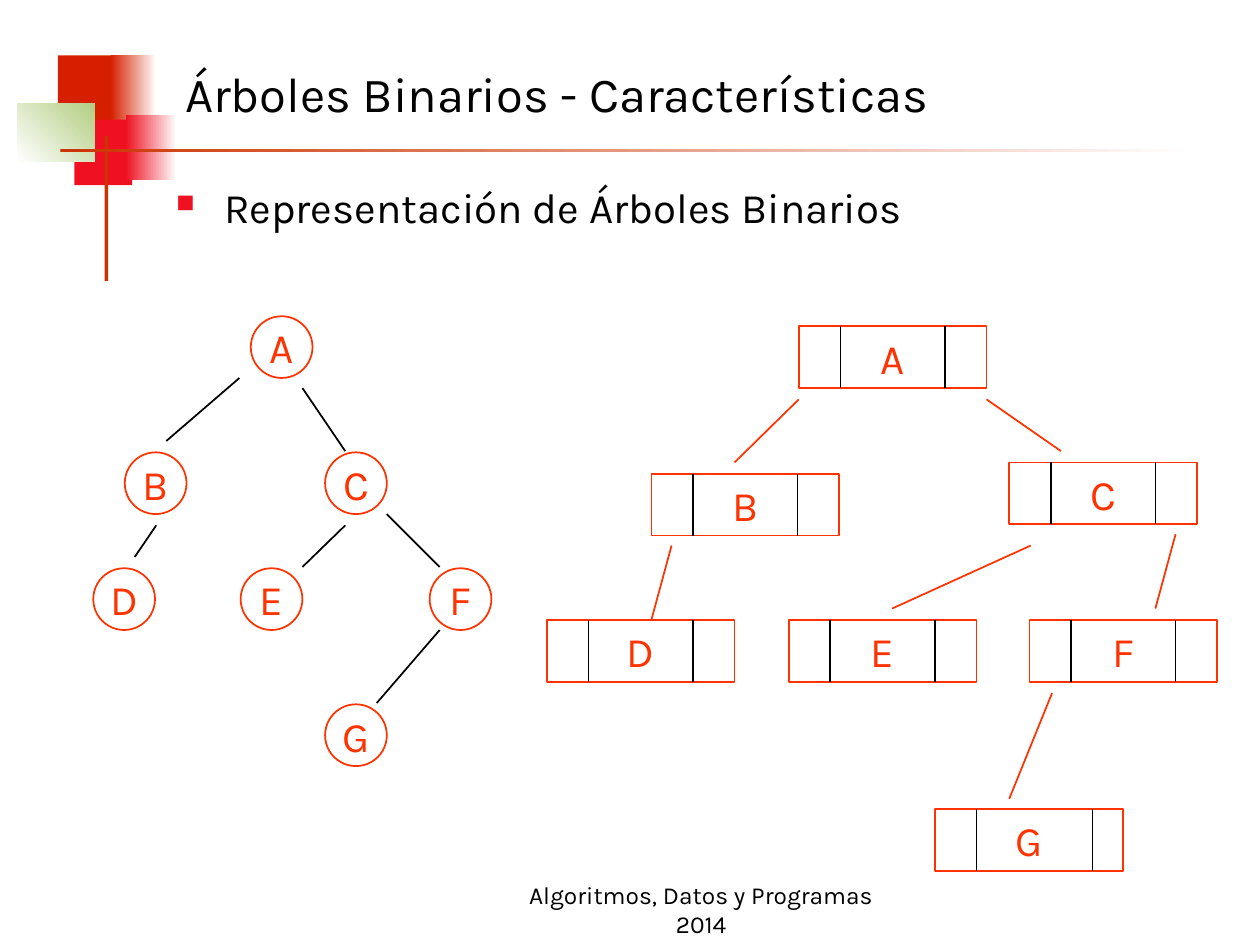
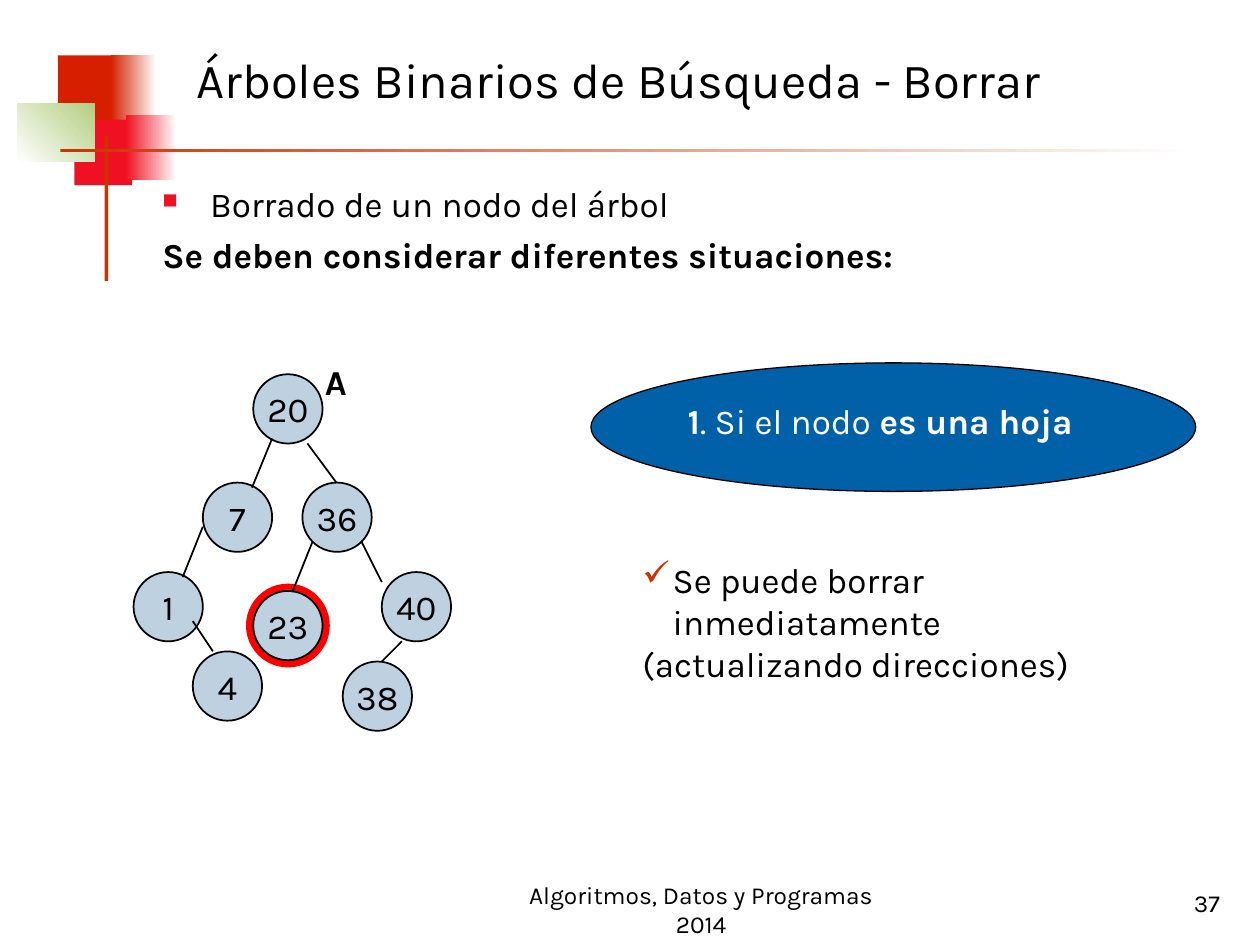
import pptx
import pptx.util
import pptx.dml.color
import pptx.enum.shapes
import pptx.enum.text
import pptx.oxml.ns
from lxml import etree

# ---- Shared content: all lengths are cells of a 100 x 75 grid ----
COLUMNS, ROWS = 100, 75
CELL = pptx.util.Inches(0.1)
FONT = "Karla"
BLACK, WHITE, RED, RUST = "000000", "FFFFFF", "EF1121", "CC3300"
ORANGE, PALE_BLUE, DEEP_BLUE, ALERT = "FF3300", "BED1E0", "0060A8", "FF0000"

# (left, top, width, height), colours, gradient angle
DECORATION = [
    ((4.6, 4.4, 4.8, 5.2), ["D61F00"], 0),
    ((8.8, 4.4, 3.6, 5.2), ["D61F00", WHITE], 0),
    ((5.9, 9.5, 4.6, 5.2), [RED], 0),
    ((10, 9.1, 4, 5.2), [RED, WHITE], 0),
    ((1.4, 8.2, 6.1, 4.6), [WHITE, "B3CE82"], 45),
    ((8.3, 10.8, 0.3, 11.5), [RUST], 0),
    ((4.8, 11.8, 90, 0.3), [RUST, WHITE], 0),
]
FOOTER = "Algoritmos, Datos y Programas 2014"
FOOTER_BOX = (39.8, 70, 31.7, 5)
SQUARE = ("■", RED, 60)
CHECK = ("✓", RUST, 100)

# ---- Slide 1: a tree and its linked representation ----
CIRCLE = 4.9
CIRCLES = {"A": (19.9, 25.1), "B": (9.9, 35.9), "C": (25.8, 35.9),
           "D": (7.4, 45.1), "E": (19.1, 45.1), "F": (34.1, 45.1),
           "G": (25.8, 55.9)}
CIRCLE_EDGES = [(19, 30, 13.2, 35), (24, 30.8, 27.4, 35.8),
                (12.4, 41.7, 10.7, 44.2), (27.4, 41.7, 24, 45),
                (30.7, 40.8, 34.9, 45), (34.9, 50, 29.9, 55.8)]
RECORD_WIDTH, RECORD_HEIGHT = 14.9, 4.9
LEFT_LINK, RIGHT_LINK = 3.3, 11.6
# left, top, offset of the right divider
RECORDS = {"A": (63.4, 25.9, RIGHT_LINK), "B": (51.7, 37.6, RIGHT_LINK),
           "C": (80.1, 36.7, RIGHT_LINK), "D": (43.4, 49.2, RIGHT_LINK),
           "E": (62.6, 49.2, RIGHT_LINK), "F": (81.7, 49.2, RIGHT_LINK),
           "G": (74.2, 64.2, 12.5)}
RECORD_EDGES = [(63.4, 31.7, 58.3, 36.7), (78.3, 31.7, 84.2, 35.8),
                (53.3, 43.3, 51.7, 49.2), (81.8, 43.3, 70.8, 48.3),
                (93.3, 42.4, 91.7, 48.3), (83.5, 55, 80.1, 63.4)]

# ---- Slide 2: deleting a leaf from a search tree ----
NODE, RING = 5.5, 6.1
SEARCH_NODES = {"20": (20.1, 29.7), "7": (16.1, 38.3), "36": (24, 38.3),
                "1": (10.6, 45.4), "4": (15.3, 51.7), "23": (20.1, 46.9),
                "40": (30.3, 45.4), "38": (27.2, 52.5)}
LEAF_TO_DELETE = "23"
SEARCH_EDGES = [(21.6, 34.8, 20, 38.7), (24.4, 35.2, 26.7, 38.3),
                (16.1, 41.8, 14.5, 45.8), (15.3, 49.3, 16.9, 51.7),
                (24.8, 43, 23.2, 47), (28.7, 43, 30.3, 46.2),
                (31.9, 50.9, 30.3, 52.5)]
OVAL_BOX = (46.9, 28.8, 48, 10.2)


# ---- Helpers ----
def cells(*values):
    return [round(value * CELL) for value in values]


def color(hex_text):
    return pptx.dml.color.RGBColor.from_string(hex_text)


def add_bullet(properties, symbol, hex_text, percent):
    def child(parent, tag, **attributes):
        return etree.SubElement(parent, pptx.oxml.ns.qn(tag), **attributes)

    child(child(properties, "a:buClr"), "a:srgbClr", val=hex_text)
    child(properties, "a:buSzPct", val=str(percent * 1000))
    child(properties, "a:buChar", char=symbol)


def write(shape, paragraphs, size=20, ink=BLACK, align="LEFT", anchor="TOP",
          before=0, wrap=True):
    """Each paragraph is a dict: runs [(text, bold)], margin, indent, bullet."""
    frame = shape.text_frame
    frame.word_wrap = wrap
    frame.vertical_anchor = getattr(pptx.enum.text.MSO_ANCHOR, anchor)
    for index, content in enumerate(paragraphs):
        paragraph = frame.add_paragraph() if index else frame.paragraphs[0]
        paragraph.alignment = getattr(pptx.enum.text.PP_ALIGN, align)
        paragraph.space_before = pptx.util.Pt(before)
        properties = paragraph._p.get_or_add_pPr()
        margin, indent = cells(content.get("margin", 0), content.get("indent", 0))
        properties.set("marL", str(margin))
        properties.set("indent", str(indent))
        if "bullet" in content:
            add_bullet(properties, *content["bullet"])
        for text, bold in content["runs"]:
            run = paragraph.add_run()
            run.text = text
            run.font.name, run.font.size = FONT, pptx.util.Pt(size)
            run.font.bold, run.font.color.rgb = bold, color(ink)


def line_of(text, bold=False, **layout):
    return dict(runs=[(text, bold)], **layout)


def add_text(slide, box, paragraphs, **text_format):
    write(slide.shapes.add_textbox(*cells(*box)), paragraphs, **text_format)


def add_box(slide, kind, box, fills, angle=0, line=None, line_width=1):
    preset = getattr(pptx.enum.shapes.MSO_SHAPE, kind)
    shape = slide.shapes.add_shape(preset, *cells(*box))
    shape.shadow.inherit = False
    if len(fills) > 1:
        shape.fill.gradient()
        shape.fill.gradient_angle = angle
        for stop, hex_text in zip(shape.fill.gradient_stops, fills):
            stop.color.rgb = color(hex_text)
    else:
        shape.fill.solid()
        shape.fill.fore_color.rgb = color(fills[0])
    if line:
        shape.line.color.rgb = color(line)
        shape.line.width = pptx.util.Pt(line_width)
    else:
        shape.line.fill.background()
    return shape


def add_node(slide, kind, box, label, fill, line, ink, size):
    shape = add_box(slide, kind, box, [fill], line=line)
    write(shape, [line_of(label)], size=size, ink=ink, align="CENTER",
          anchor="MIDDLE", wrap=False)


def add_edges(slide, edges, ink=BLACK):
    for edge in edges:
        connector = slide.shapes.add_connector(
            pptx.enum.shapes.MSO_CONNECTOR.STRAIGHT, *cells(*edge))
        connector.line.color.rgb = color(ink)
        connector.line.width = pptx.util.Pt(1)
        etree.SubElement(connector._element.spPr, pptx.oxml.ns.qn("a:effectLst"))


def add_base_slide(presentation, title, title_box):
    slide = presentation.slides.add_slide(presentation.slide_layouts[6])
    for box, fills, angle in DECORATION:
        add_box(slide, "RECTANGLE", box, fills, angle)
    add_text(slide, FOOTER_BOX, [line_of(FOOTER)], size=14, align="CENTER",
             anchor="BOTTOM")
    add_text(slide, title_box, [line_of(title)], size=28, anchor="MIDDLE")
    return slide


# ---- Slides ----
def build_representation(presentation):
    slide = add_base_slide(presentation, "Árboles Binarios - Características",
                           (13.7, 2.8, 70.1, 9.2))
    add_text(slide, (13, 13.9, 77.4, 7.1),
             [line_of("Representación de Árboles Binarios", margin=3.8,
                      indent=-3.8, bullet=SQUARE)], size=24, before=6)

    for label, corner in CIRCLES.items():
        add_node(slide, "OVAL", (*corner, CIRCLE, CIRCLE), label,
                 WHITE, ORANGE, ORANGE, 24)
    add_edges(slide, CIRCLE_EDGES)

    for label, (left, top, right_link) in RECORDS.items():
        add_node(slide, "RECTANGLE", (left, top, RECORD_WIDTH, RECORD_HEIGHT),
                 label, WHITE, ORANGE, ORANGE, 24)
        add_edges(slide, [(left + offset, top, left + offset, top + RECORD_HEIGHT)
                          for offset in (LEFT_LINK, right_link)])
    add_edges(slide, RECORD_EDGES, ORANGE)


def build_deletion(presentation):
    slide = add_base_slide(presentation, "Árboles Binarios de Búsqueda - Borrar",
                           (14.6, 1.3, 81.1, 10))
    hanging = dict(margin=3.8, indent=-3.8)
    add_text(slide, (11.9, 14, 80.6, 11.7),
             [line_of("Borrado de un nodo del árbol", bullet=SQUARE, **hanging),
              line_of("Se deben considerar diferentes situaciones:", True,
                      **hanging)], before=5)

    # Search tree, with a ring round the leaf to delete
    inset = (RING - NODE) / 2
    left, top = SEARCH_NODES[LEAF_TO_DELETE]
    add_box(slide, "OVAL", (left - inset, top - inset, RING, RING), [PALE_BLUE],
            line=ALERT, line_width=4)
    for label, corner in SEARCH_NODES.items():
        add_node(slide, "OVAL", (*corner, NODE, NODE), label,
                 PALE_BLUE, BLACK, BLACK, 20)
    add_edges(slide, SEARCH_EDGES)
    add_text(slide, (24.8, 28.1, 3.9, 4.4), [line_of("A", True)])

    # Case and its rule
    add_box(slide, "OVAL", OVAL_BOX, [DEEP_BLUE], line=BLACK, line_width=0.75)
    add_text(slide, (50.8, 31.2, 47.3, 8.4),
             [dict(runs=[("1", True), (". Si el nodo ", False),
                         ("es una hoja", True)], margin=2.8)],
             ink=WHITE, before=5)
    add_text(slide, (50, 43.8, 45.7, 11),
             [line_of("Se puede borrar inmediatamente", margin=2.4, indent=-2.4,
                      bullet=CHECK),
              line_of("(actualizando direcciones)")])
    add_text(slide, (77, 68.3, 20.8, 5), [line_of("37")], size=14,
             align="RIGHT", anchor="BOTTOM")


def main():
    presentation = pptx.Presentation()
    presentation.slide_width, presentation.slide_height = cells(COLUMNS, ROWS)
    build_representation(presentation)
    build_deletion(presentation)
    presentation.save("out.pptx")


if __name__ == "__main__":
    main()
